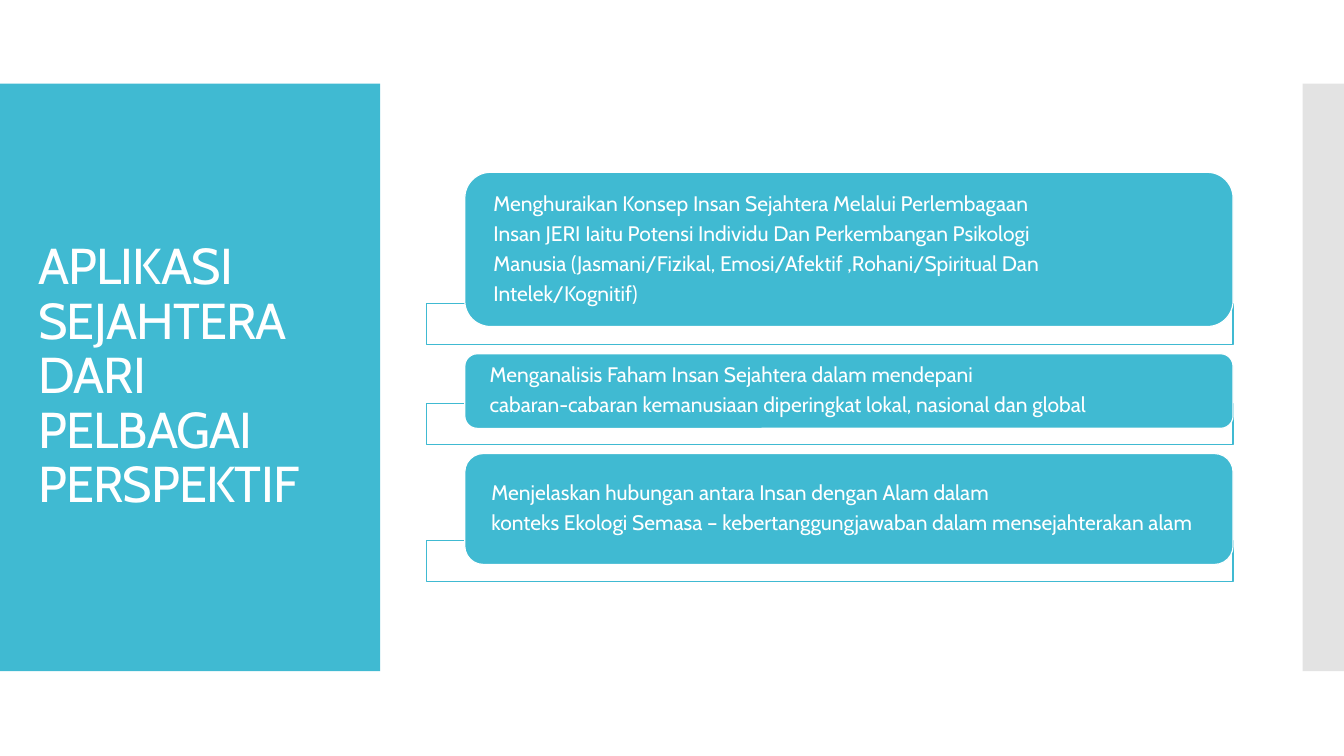
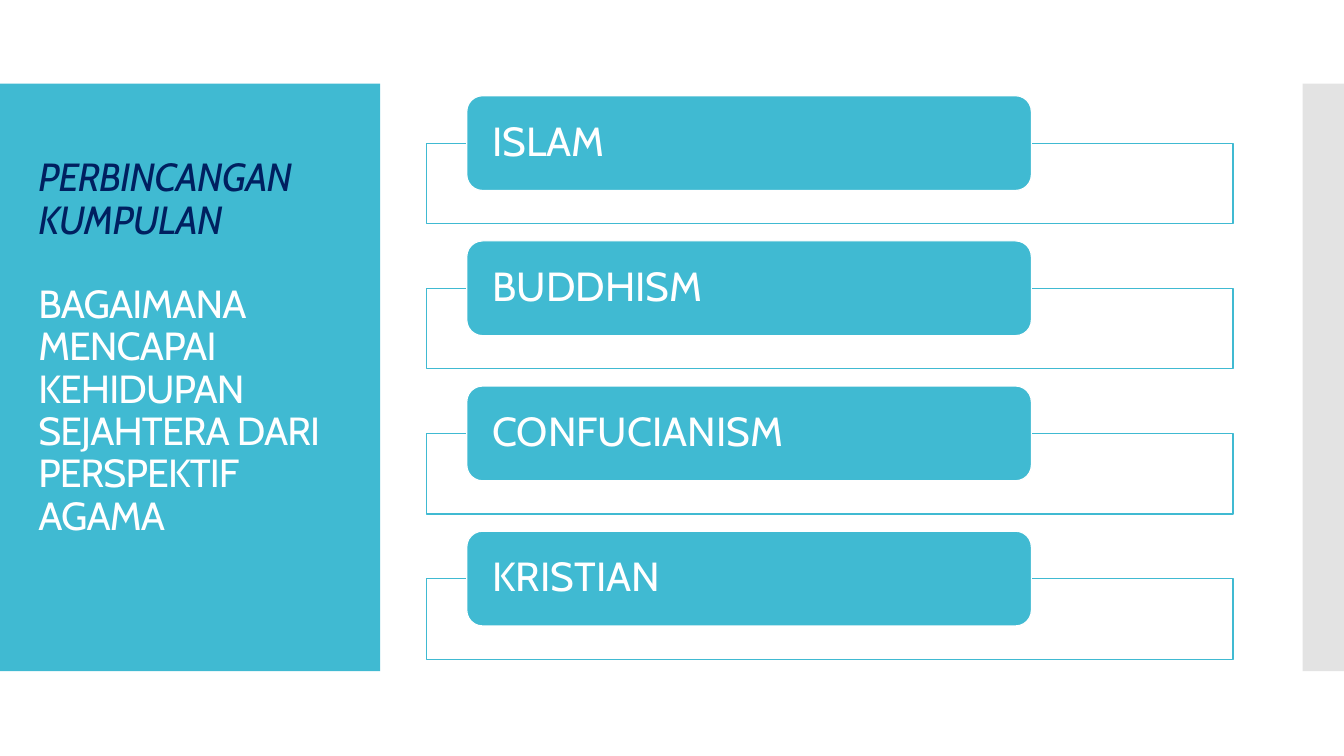
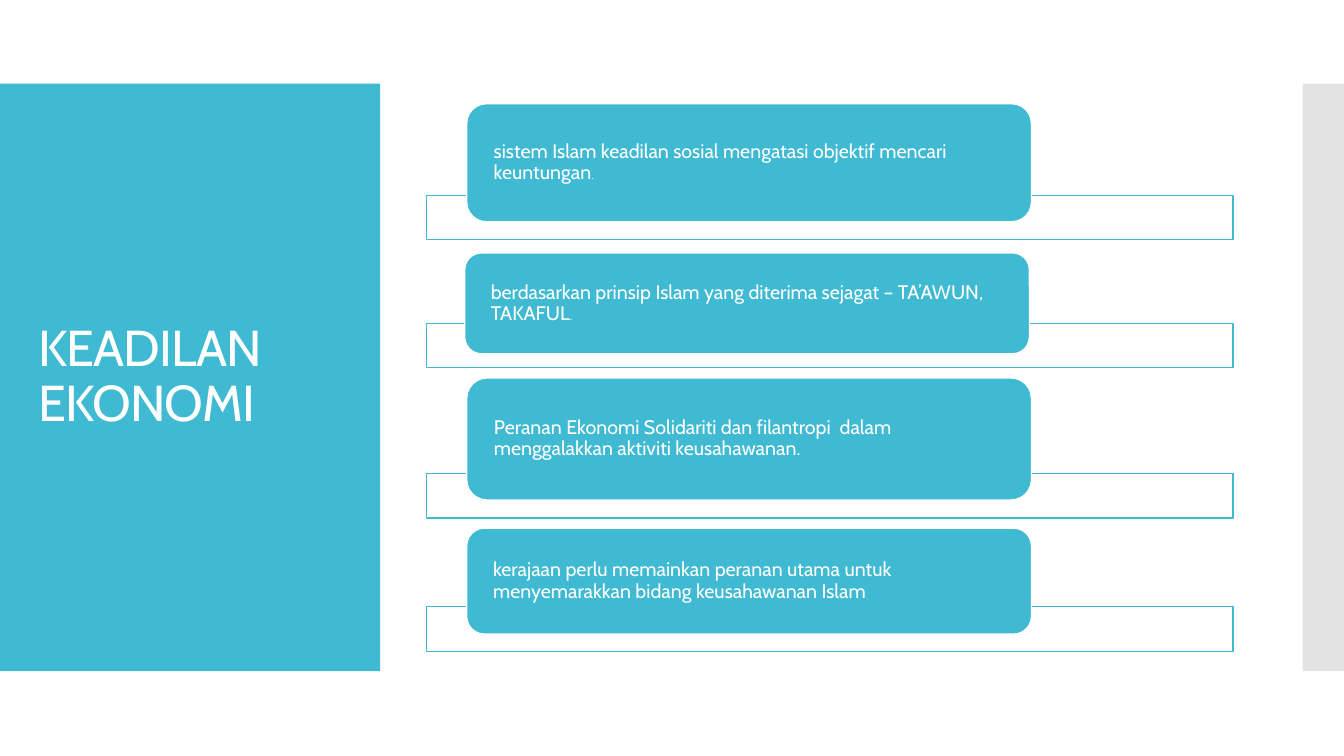
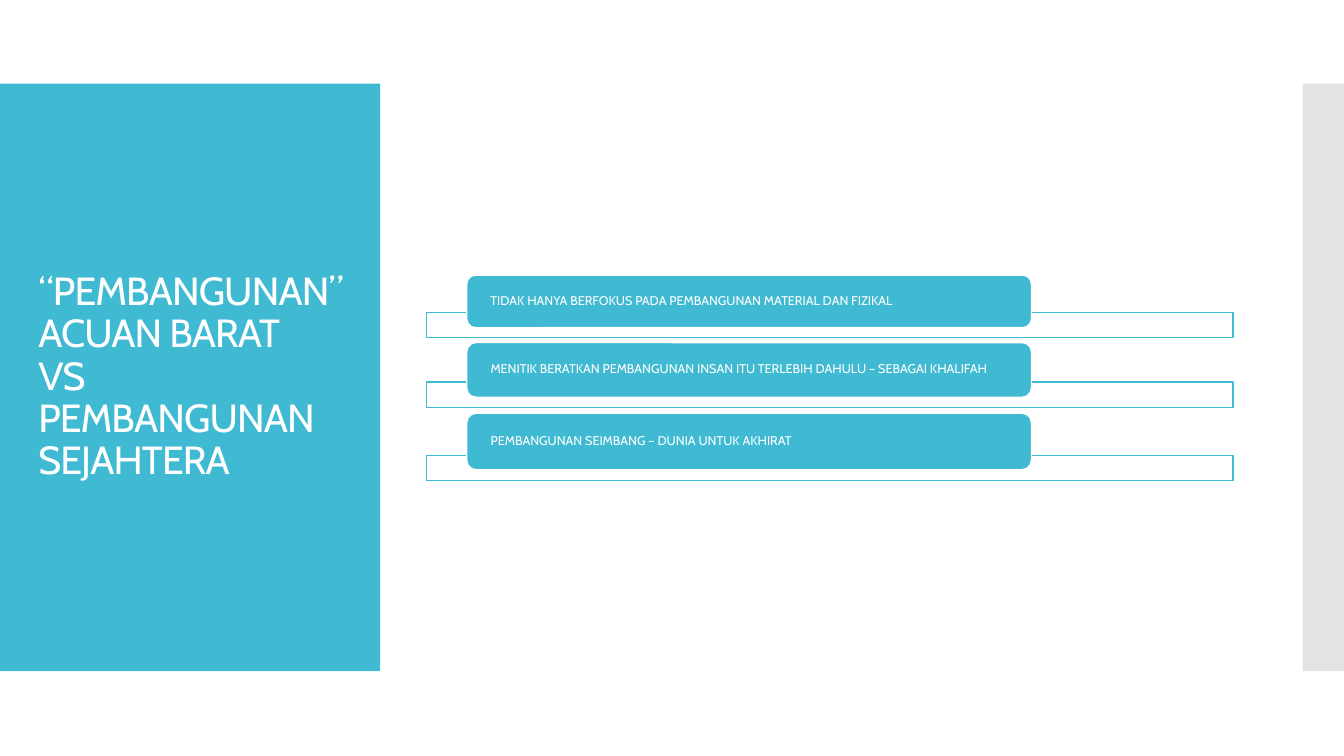
from dataclasses import dataclass

import pptx
import pptx.dml.color
import pptx.enum.shapes
import pptx.enum.text
import pptx.oxml.ns
import pptx.oxml.xmlchemy
import pptx.util
from lxml import etree

Inches = pptx.util.Inches
Pt = pptx.util.Pt
MSO_SHAPE = pptx.enum.shapes.MSO_SHAPE
qn = pptx.oxml.ns.qn

COLORS = {"teal": "40BAD2", "white": "FFFFFF", "grey": "C8C8C8", "navy": "002060"}
FONT = "Cabin"
SLIDE_W, SLIDE_H = 13.33, 7.5
BAND_TOP, BAND_H = 0.83, 5.83
FRAME_LEFT, FRAME_W = 4.23, 8.0
CARD_LEFT, CARD_W = 4.63, 5.6


@dataclass
class TitleLine:
    text: str
    color: str = "white"
    italic: bool = False
    space_before: float = 0


@dataclass
class Card:
    top: float
    height: float
    frame_top: float
    lines: list[str]
    left: float = CARD_LEFT
    small_end: str = ""


@dataclass
class Topic:
    title: list[TitleLine]
    cards: list[Card]
    frame_h: float
    text_size: float
    title_size: float = 36
    title_w: float = 3.22
    title_h: float = 5.03
    card_w: float = CARD_W


AGAMA = ["ISLAM", "BUDDHISM", "CONFUCIANISM", "KRISTIAN"]
AGAMA_TOP, AGAMA_PITCH = 0.95, 1.44

TOPICS = [
    Topic(
        [TitleLine("APLIKASI SEJAHTERA DARI PELBAGAI PERSPEKTIF")],
        [
            Card(1.71, 1.53, 3.01, [
                "Menghuraikan Konsep Insan Sejahtera Melalui Perlembagaan",
                "Insan JERI Iaitu Potensi Individu Dan Perkembangan Psikologi",
                "Manusia (Jasmani/Fizikal, Emosi/Afektif ,Rohani/Spiritual Dan",
                "Intelek/Kognitif)",
            ], left=4.61),
            Card(3.51, 0.74, 4.0, [
                "Menganalisis Faham Insan Sejahtera dalam mendepani",
                "cabaran-cabaran kemanusiaan diperingkat lokal, nasional dan global",
            ], left=4.61),
            Card(4.5, 1.1, 5.36, [
                "Menjelaskan hubungan antara Insan dengan Alam dalam",
                "konteks Ekologi Semasa – kebertanggungjawaban dalam mensejahterakan alam",
            ], left=4.61),
        ],
        frame_h=0.41, text_size=15, card_w=7.62,
    ),
    Topic(
        [
            TitleLine("PERBINCANGAN KUMPULAN", color="navy", italic=True),
            TitleLine("BAGAIMANA MENCAPAI KEHIDUPAN SEJAHTERA DARI PERSPEKTIF AGAMA",
                      space_before=30),
        ],
        [
            Card(AGAMA_TOP + i * AGAMA_PITCH, 0.94, AGAMA_TOP + 0.47 + i * AGAMA_PITCH, [name])
            for i, name in enumerate(AGAMA)
        ],
        frame_h=0.8, text_size=29, title_size=28, title_h=4.45,
    ),
    Topic(
        [TitleLine("KEADILAN EKONOMI")],
        [
            Card(1.03, 1.17, 1.94,
                 ["sistem Islam keadilan sosial mengatasi objektif mencari keuntungan"],
                 small_end="."),
            Card(2.51, 1.0, 3.21,
                 ["berdasarkan prinsip Islam yang diterima sejagat – TA’AWUN, TAKAFUL"],
                 left=4.61, small_end="."),
            Card(3.75, 1.21, 4.7,
                 ["Peranan Ekonomi Solidariti dan filantropi  dalam "
                  "menggalakkan aktiviti keusahawanan."]),
            Card(5.24, 1.05, 6.02,
                 ["kerajaan perlu memainkan peranan utama untuk "
                  "menyemarakkan bidang keusahawanan Islam"]),
        ],
        frame_h=0.44, text_size=14,
    ),
    Topic(
        [TitleLine(text) for text in
         ("“PEMBANGUNAN”", "ACUAN BARAT", "VS", "PEMBANGUNAN SEJAHTERA")],
        [
            Card(2.73, 0.52, 3.1,
                 ["TIDAK HANYA BERFOKUS PADA PEMBANGUNAN MATERIAL DAN FIZIKAL"]),
            Card(3.4, 0.54, 3.79,
                 ["MENITIK BERATKAN PEMBANGUNAN INSAN ITU TERLEBIH DAHULU – SEBAGAI KHALIFAH"]),
            Card(4.1, 0.56, 4.52,
                 ["PEMBANGUNAN SEIMBANG – DUNIA UNTUK AKHIRAT"]),
        ],
        frame_h=0.25, text_size=9, title_size=28, title_w=3.35,
    ),
]


def rgb(name: str) -> pptx.dml.color.RGBColor:
    return pptx.dml.color.RGBColor.from_string(COLORS[name])


def add_box(slide, left: float, top: float, width: float, height: float, *, fill: str,
            line: str | None = None, opacity: int = 100, shape=MSO_SHAPE.RECTANGLE):
    sp = slide.shapes.add_shape(shape, Inches(left), Inches(top), Inches(width), Inches(height))
    sp.shadow.inherit = False
    sp.fill.solid()
    sp.fill.fore_color.rgb = rgb(fill)
    if opacity < 100:
        color = next(sp.element.iter(qn("a:srgbClr")))
        etree.SubElement(color, qn("a:alpha")).set("val", str(opacity * 1000))
    if line:
        sp.line.color.rgb = rgb(line)
        sp.line.width = Pt(0.85)
    else:
        sp.line.fill.background()
    return sp


def add_text(p, text: str, *, size: float, color: str = "white", italic: bool = False,
             before: float = 0, after: float = 0) -> None:
    p.alignment = pptx.enum.text.PP_ALIGN.LEFT
    p.line_spacing = 0.9
    p.space_before = Pt(before)
    p.space_after = Pt(after)
    r = p.add_run()
    r.text = text
    r.font.name = FONT
    r.font.size = Pt(size)
    r.font.italic = italic
    r.font.color.rgb = rgb(color)


def paragraphs(tf, count: int) -> list:
    """Return count paragraphs of a middle-anchored, wrapping text frame."""
    tf.word_wrap = True
    tf.auto_size = pptx.enum.text.MSO_AUTO_SIZE.NONE
    tf.vertical_anchor = pptx.enum.text.MSO_ANCHOR.MIDDLE
    return [tf.paragraphs[0]] + [tf.add_paragraph() for _ in range(count - 1)]


def move_bands_to_layout(slide) -> None:
    """Draw the side bands and hand them to the layout, so that all slides share them."""
    bands = [
        add_box(slide, 0, BAND_TOP, 3.77, BAND_H, fill="teal"),
        add_box(slide, 12.92, BAND_TOP, SLIDE_W - 12.92, BAND_H, fill="grey", opacity=50),
    ]
    for sp in bands:
        slide.slide_layout.shapes.element.insert(2, sp.element)


def set_title(slide, topic: Topic) -> None:
    sp = slide.shapes.title
    sp.left, sp.top = Inches(0.28), Inches(1.23)
    sp.width, sp.height = Inches(topic.title_w), Inches(topic.title_h)
    for p, line in zip(paragraphs(sp.text_frame, len(topic.title)), topic.title):
        add_text(p, line.text, size=topic.title_size, color=line.color,
                 italic=line.italic, before=line.space_before)
    for props in sp.element.iter(qn("a:rPr")):
        props.set("spc", "-60")


def add_card(slide, card: Card, topic: Topic) -> None:
    add_box(slide, FRAME_LEFT, card.frame_top, FRAME_W, topic.frame_h,
            fill="white", line="teal", opacity=90)
    sp = add_box(slide, card.left, card.top, topic.card_w, card.height,
                 fill="teal", line="white", shape=MSO_SHAPE.ROUNDED_RECTANGLE)
    tf = sp.text_frame
    tf.margin_left = tf.margin_right = Inches(0.21)
    tf.margin_top = tf.margin_bottom = 0
    after = round(topic.text_size * 0.35, 2)
    for p, text in zip(paragraphs(tf, len(card.lines)), card.lines):
        add_text(p, text, size=topic.text_size, after=after)
    if card.small_end:
        add_text(tf.paragraphs[-1], card.small_end, size=8, after=after)


def main() -> None:
    prs = pptx.Presentation()
    prs.slide_width, prs.slide_height = Inches(SLIDE_W), Inches(SLIDE_H)
    title_only = prs.slide_layouts[5]
    for i, topic in enumerate(TOPICS):
        slide = prs.slides.add_slide(title_only)
        if i == 0:
            move_bands_to_layout(slide)
        set_title(slide, topic)
        for card in topic.cards:
            add_card(slide, card, topic)
    prs.save("out.pptx")


if __name__ == "__main__":
    main()
